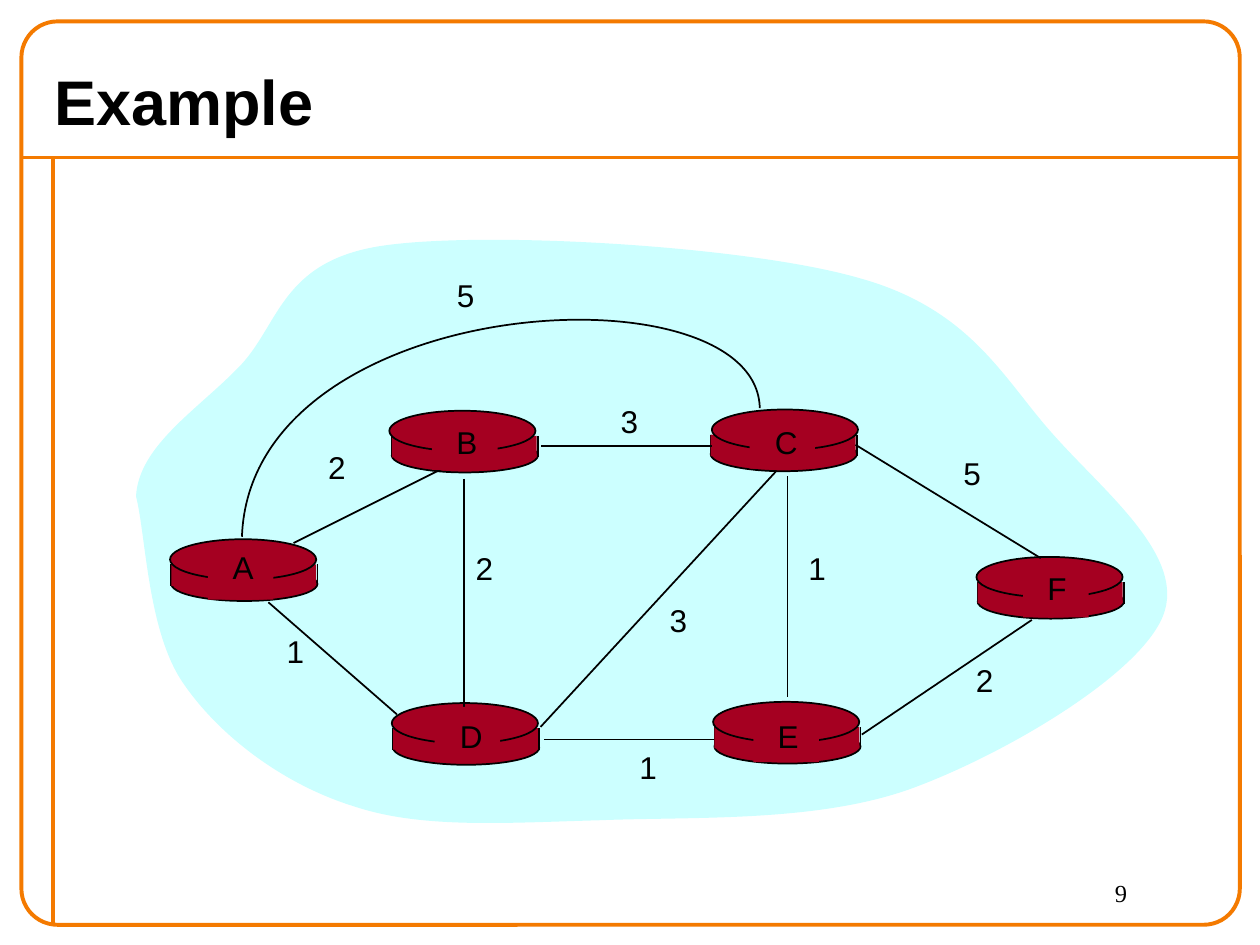
"""Build the Example slide: a weighted network of six routers."""
from dataclasses import dataclass

from lxml.etree import SubElement
from pptx import Presentation
from pptx.dml.color import RGBColor as Rgb
from pptx.enum.shapes import MSO_CONNECTOR as Link, MSO_SHAPE as Shape
from pptx.enum.text import MSO_ANCHOR as Anchor, PP_ALIGN as Align
from pptx.oxml.ns import qn
from pptx.util import Inches, Pt


@dataclass(frozen=True)
class Theme:
    ink: Rgb = Rgb(0, 0, 0)
    frame: Rgb = Rgb.from_string("F47A00")
    cloud: Rgb = Rgb.from_string("CCFFFF")
    router: Rgb = Rgb.from_string("A50021")
    sans: str = "Arial"
    serif: str = "Times New Roman"
    title_size: int = 36
    label_size: int = 18
    number_size: int = 14
    frame_width: float = 2.25
    link_width: float = 1


theme = Theme()


def paint(item, fill=None, line=None, width=theme.link_width):
    if hasattr(item, "fill"):
        item.shadow.inherit = False
        if fill is None:
            item.fill.background()
        else:
            item.fill.solid()
            item.fill.fore_color.rgb = fill
    else:
        SubElement(item._element.spPr, qn("a:effectLst"))
    if line is None:
        item.line.fill.background()
    else:
        item.line.color.rgb = line
        item.line.width = Pt(width)


def write(box, text, size, font, align, bold=False):
    para = box.text_frame.paragraphs[0]
    para.alignment = align
    span = para.add_run()
    span.text = text
    span.font.size = Pt(size)
    span.font.name = font
    span.font.bold = bold
    span.font.color.rgb = theme.ink


deck = Presentation()
deck.slide_width, deck.slide_height = Inches(10), Inches(7.5)
page = deck.slides.add_slide(deck.slide_layouts[5])

for ends in [(0.17, 1.25, 9.83, 1.25), (0.42, 1.25, 0.42, 7.33)]:
    rule = page.shapes.add_connector(Link.STRAIGHT, *map(Inches, ends))
    paint(rule, line=theme.frame, width=theme.frame_width)
border = page.shapes.add_shape(Shape.ROUNDED_RECTANGLE, *map(Inches, (0.17, 0.17, 9.67, 7.17)))
border.adjustments[0] = 0.04
paint(border, line=theme.frame, width=theme.frame_width)

title = page.shapes.title
title.left, title.top, title.width, title.height = map(Inches, (0.33, 0.42, 9.5, 0.75))
title.text_frame.vertical_anchor = Anchor.MIDDLE
write(title, "Example", theme.title_size, theme.sans, Align.LEFT, True)
number = page.shapes.add_textbox(*map(Inches, (8.75, 6.92, 1, 0.42)))
number.text_frame.word_wrap = True
write(number, "9", theme.number_size, theme.serif, Align.LEFT)

network = page.shapes.add_group_shape().shapes

cloud_curve = [
    (1.08, 3.94),
    (1.1, 3.54), (1.57, 3.25), (1.89, 2.92),
    (2.22, 2.59), (2.22, 2.07), (3.04, 1.95),
    (3.86, 1.83), (5.94, 1.95), (6.83, 2.21),
    (7.72, 2.46), (7.97, 3.02), (8.37, 3.46),
    (8.77, 3.91), (9.42, 4.42), (9.23, 4.89),
    (9.04, 5.36), (7.97, 5.99), (7.23, 6.26),
    (6.48, 6.53), (5.5, 6.48), (4.76, 6.51),
    (4.02, 6.53), (3.35, 6.58), (2.81, 6.4),
    (2.26, 6.23), (1.75, 5.85), (1.46, 5.43),
    (1.17, 5.02), (1.16, 4.25), (1.08, 3.94),
]
arc_curve = [(6.03, 3.24), (6.01, 2.09), (1.99, 2.3), (1.92, 4.26)]
routers = {
    "A": dict(body=(1.36, 4.5), cap=1.35, letter=(1.64, 4.3, 0.58), patch=4.32),
    "D": dict(body=(3.12, 5.8), cap=3.11, letter=(3.44, 5.64, 0.6), patch=5.61),
    "B": dict(body=(3.11, 3.48), cap=3.09, letter=(3.42, 3.31, 0.57), patch=3.29),
    "C": dict(body=(5.64, 3.47), cap=5.65, letter=(5.94, 3.31, 0.6), patch=3.28),
    "E": dict(body=(5.67, 5.79), cap=5.66, letter=(5.97, 5.64, 0.57), patch=5.61),
    "F": dict(body=(7.76, 4.64), cap=7.75, letter=(8.11, 4.47, 0.56), patch=4.46),
}
links = [
    (6.25, 3.78, 6.25, 5.53),
    (3.68, 3.8, 3.68, 5.61),
    (4.29, 5.77, 6.16, 3.74),
    (6.84, 5.83, 8.19, 4.92),
    (5.67, 5.87, 4.32, 5.87),
    (3.15, 5.67, 2.13, 4.78),
    (5.65, 3.54, 4.29, 3.54),
    (8.26, 4.43, 6.79, 3.53),
    (2.33, 4.31, 3.59, 3.68),
]
costs = [
    ("2", 2.41, 3.51), ("2", 3.58, 4.31), ("1", 2.08, 4.97), ("3", 5.12, 4.72),
    ("1", 4.88, 5.89), ("1", 6.22, 4.31), ("2", 7.55, 5.2), ("5", 7.45, 3.55),
    ("3", 4.73, 3.14), ("5", 3.43, 2.14),
]
body_width = 1.16

for curve, closed, fill, line in [
    (cloud_curve, True, theme.cloud, None),
    (arc_curve, False, None, theme.ink),
]:
    knots = [(Inches(x), Inches(y)) for x, y in curve]
    builder = network.build_freeform(*knots[0])
    builder.add_line_segments(knots[1:], close=closed)
    outline = builder.convert_to_shape()
    segments = list(outline._element.spPr.iter(qn("a:lnTo")))[:len(curve) - 1]
    for first, second, third in zip(*[iter(segments)] * 3):
        first.tag = qn("a:cubicBezTo")
        for segment in (second, third):
            first.append(segment[0])
            segment.getparent().remove(segment)
    paint(outline, fill, line)

for router in routers.values():
    left, top = router["body"]
    base = network.add_shape(Shape.OVAL, *map(Inches, (left, top, body_width, 0.27)))
    paint(base, theme.router, theme.ink)
    for x in (left, left + body_width):
        side = network.add_connector(Link.STRAIGHT, *map(Inches, (x, top - 0.02, x, top + 0.15)))
        paint(side, line=theme.ink)
    wall = network.add_shape(Shape.RECTANGLE, *map(Inches, (left, top - 0.02, 1.15, 0.17)))
    paint(wall, theme.router)
    cap = network.add_shape(Shape.OVAL, *map(Inches, (router["cap"], top - 0.22, body_width, 0.32)))
    paint(cap, theme.router, theme.ink)

for ends in links:
    paint(network.add_connector(Link.STRAIGHT, *map(Inches, ends)), line=theme.ink)

for router in routers.values():
    patch_left = router["letter"][0] + 0.01
    patch = network.add_shape(Shape.RECTANGLE, *map(Inches, (patch_left, router["patch"], 0.52, 0.44)))
    paint(patch, theme.router)

letters = [(name, *router["letter"]) for name, router in routers.items()]
for text, left, top, width in letters + [(*cost, 0.53) for cost in costs]:
    box = network.add_textbox(*map(Inches, (left, top, width, 0.61)))
    box.text_frame.word_wrap = False
    write(box, text, theme.label_size, theme.sans, Align.CENTER)

deck.save("out.pptx")
